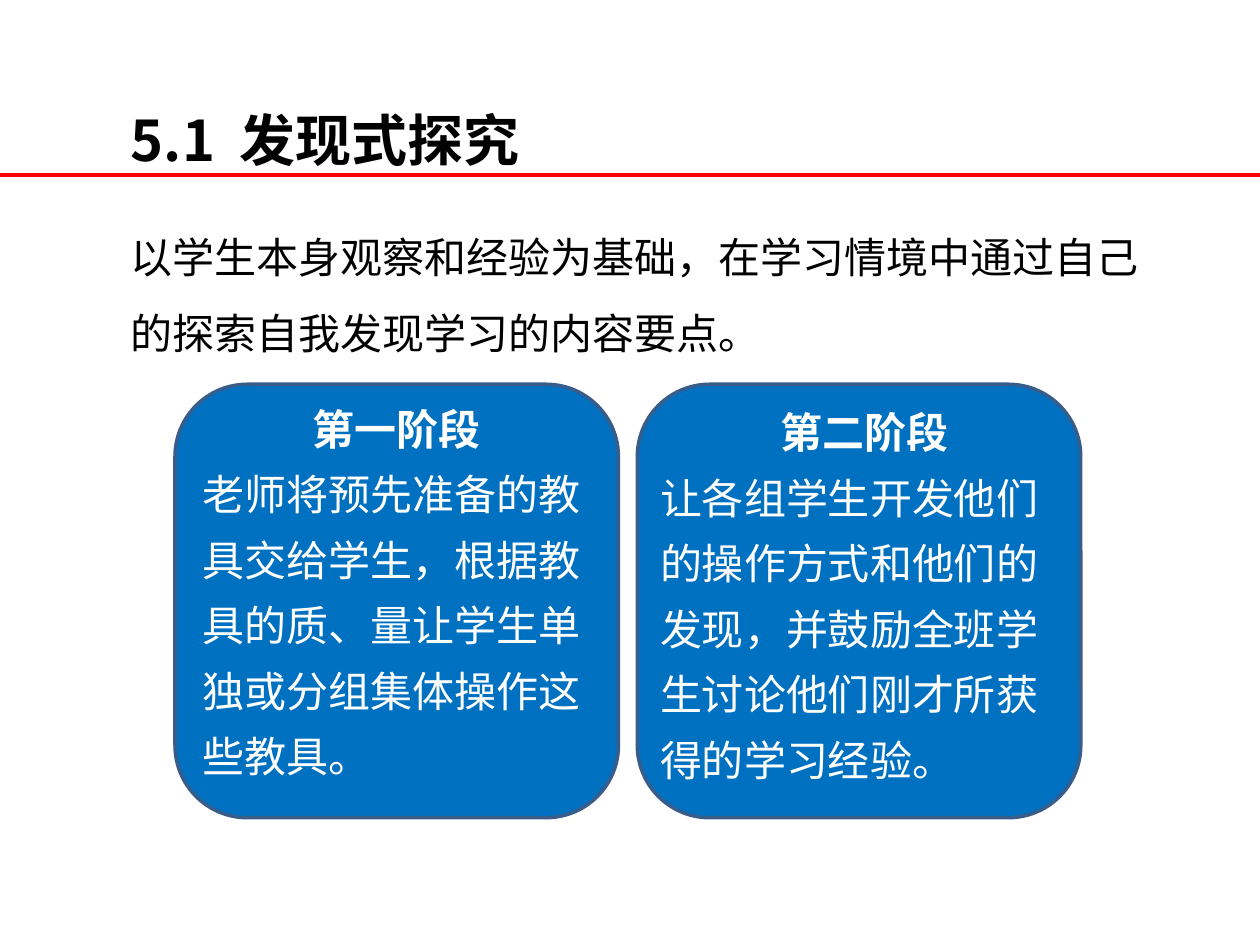
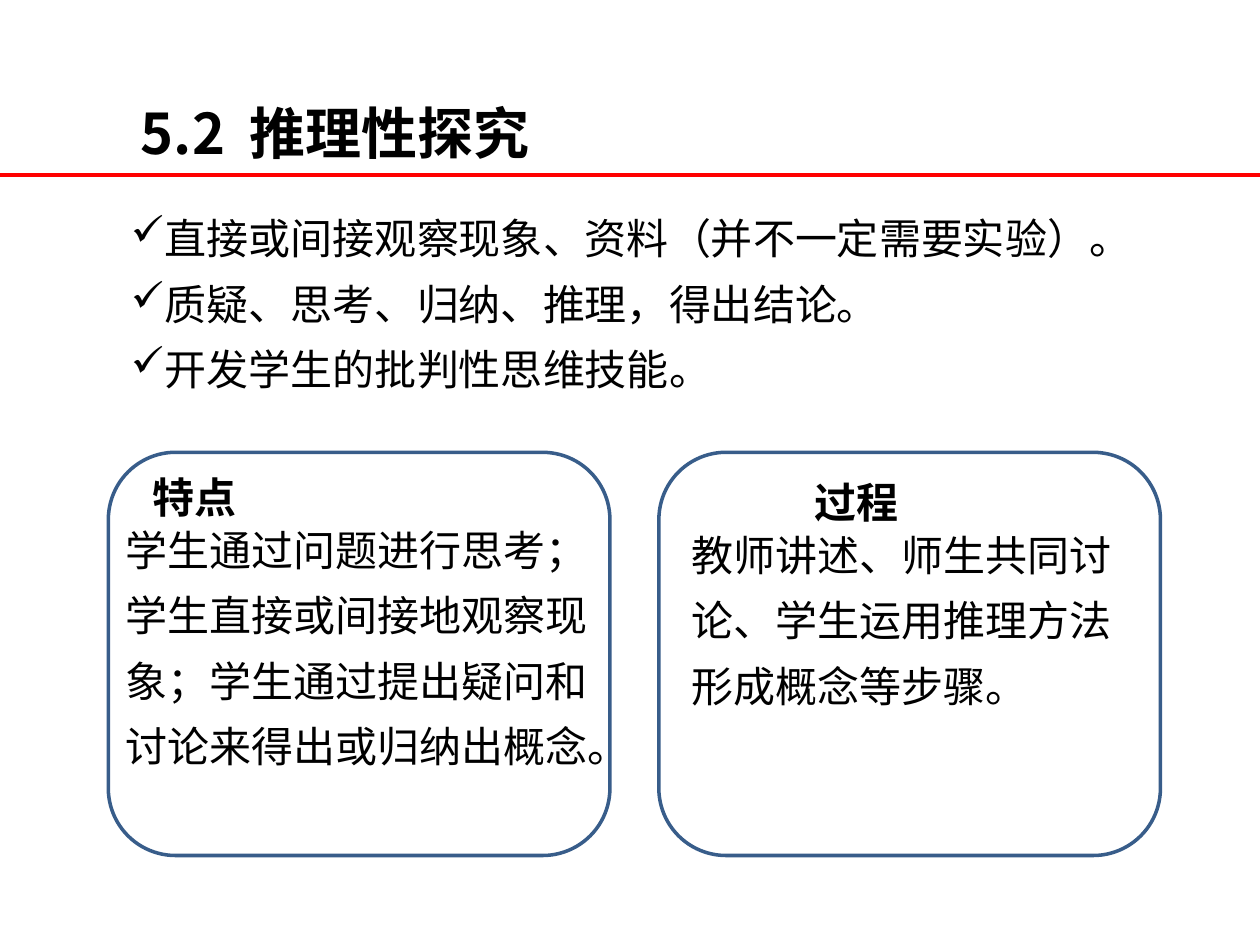
from lxml.etree import SubElement
from pptx import Presentation
from pptx.dml.color import RGBColor
from pptx.enum.shapes import MSO_CONNECTOR, MSO_SHAPE
from pptx.enum.text import PP_ALIGN
from pptx.oxml.ns import qn
from pptx.util import Pt

BLACK, WHITE, RED, BLUE, EDGE = "000000", "FFFFFF", "FF0000", "0070C0", "385D8A"
CJK = "Noto Sans CJK SC"
WIDTH, HEIGHT = 720, 540

# Content: title boxes are (left, top), text boxes (left, top, width, height)
FIND = {
    "title": ("5.1\t发现式探究", (67.7, 37.4)),
    "intro": "以学生本身观察和经验为基础，在学习情境中通过自己的探索自我发现学习的内容要点。",
    "stages": [
        ("第一阶段",
         "老师将预先准备的教具交给学生，根据教具的质、量让学生单独或分组集体操作这些教具。",
         (108.7, 218.2, 236.2, 231.8)),
        ("第二阶段",
         "让各组学生开发他们的操作方式和他们的发现，并鼓励全班学生讨论他们刚才所获得的学习经验。",
         (370.1, 220.3, 247.7, 231.8)),
    ],
}
REASON = {
    "title": ("5.2\t推理性探究", (73.4, 33.8)),
    "points": ["直接或间接观察现象、资料（并不一定需要实验）。",
               "质疑、思考、归纳、推理，得出结论。",
               "开发学生的批判性思维技能。"],
    "panels": [
        ("特点", (79.9, 251.3, 200, 50.4),
         "学生通过问题进行思考；学生直接或间接地观察现象；学生通过提出疑问和讨论来得出或归纳出概念。",
         (64.8, 287.3, 283, 195)),
        ("过程", (458.6, 254.2, 200, 50.4),
         "教师讲述、师生共同讨论、学生运用推理方法形成概念等步骤。",
         (388.1, 290.2, 275.8, 119.5)),
    ],
}


def color(code):
    return RGBColor.from_string(code)


def style(para, size=24, name="Arial", ink=BLACK, bold=False, space=1.3):
    para.line_spacing = space
    font = para.font
    font.size, font.name, font.bold = Pt(size), name, bold
    font.color.rgb = color(ink)
    SubElement(para._p.pPr.find(qn("a:defRPr")), qn("a:ea"), typeface=CJK)


def add_frame(slide, box):
    frame = slide.shapes.add_textbox(*map(Pt, box)).text_frame
    frame.word_wrap = True
    return frame


def add_text(slide, box, text, **look):
    para = add_frame(slide, box).paragraphs[0]
    para.text = text
    style(para, **look)


def fill_lines(frame, lines):
    """Put each line in its own paragraph and yield the paragraphs."""
    for num, line in enumerate(lines):
        para = frame.add_paragraph() if num else frame.paragraphs[0]
        para.text = line
        yield para


def add_cards(slide, left, top, wide, high, step, fill=None):
    for num in range(2):
        card = slide.shapes.add_shape(
            MSO_SHAPE.ROUNDED_RECTANGLE,
            Pt(left + num * step), Pt(top), Pt(wide), Pt(high))
        card.shadow.inherit = False
        card.line.color.rgb = color(EDGE)
        card.line.width = Pt(2)
        if fill:
            card.fill.solid()
            card.fill.fore_color.rgb = color(fill)
        else:
            card.fill.background()


def add_page(deck, title, spot):
    slide = deck.slides.add_slide(deck.slide_layouts[6])
    # Red rule under the title
    rule = slide.shapes.add_connector(
        MSO_CONNECTOR.STRAIGHT, Pt(0), Pt(100), Pt(WIDTH), Pt(100))
    rule.line.color.rgb = color(RED)
    rule.line.width = Pt(2.25)
    SubElement(rule._element.spPr, qn("a:effectLst"))
    # Title, with a tab stop between number and name
    para = add_frame(slide, (*spot, 574, 65)).paragraphs[0]
    para.text = title
    tabs = SubElement(para._p.get_or_add_pPr(), qn("a:tabLst"))
    SubElement(tabs, qn("a:tab"), pos=str(Pt(62)), algn="l")
    style(para, size=32, name=CJK, bold=True, space=1.5)
    return slide


def add_find(deck):
    slide = add_page(deck, *FIND["title"])
    add_text(slide, (67.7, 114.5, 590.4, 93.6), FIND["intro"], space=1.5)
    # Two stages
    add_cards(slide, 100, 219.6, 253.4, 247.7, 264.2, BLUE)
    for head, body, box in FIND["stages"]:
        top, rest = fill_lines(add_frame(slide, box), [head, body])
        top.alignment = PP_ALIGN.CENTER
        style(top, ink=WHITE, bold=True)
        style(rest, ink=WHITE)


def add_reason(deck):
    slide = add_page(deck, *REASON["title"])
    # Ticked points
    frame = add_frame(slide, (67.7, 109.4, 613.4, 119.5))
    for para in fill_lines(frame, REASON["points"]):
        props = para._p.get_or_add_pPr()
        props.set("marL", str(Pt(19.5)))
        props.set("indent", str(-Pt(19.5)))
        SubElement(props, qn("a:buChar"), char="✓")
        style(para)
    # Two outlined panels
    add_cards(slide, 61.9, 258.5, 286.6, 230.4, 314.6)
    for head, spot, body, box in REASON["panels"]:
        add_text(slide, box, body)
        add_text(slide, spot, head, bold=True, space=1.5)


def main():
    deck = Presentation()
    deck.slide_width, deck.slide_height = Pt(WIDTH), Pt(HEIGHT)
    add_find(deck)
    add_reason(deck)
    deck.save("out.pptx")


if __name__ == "__main__":
    main()
